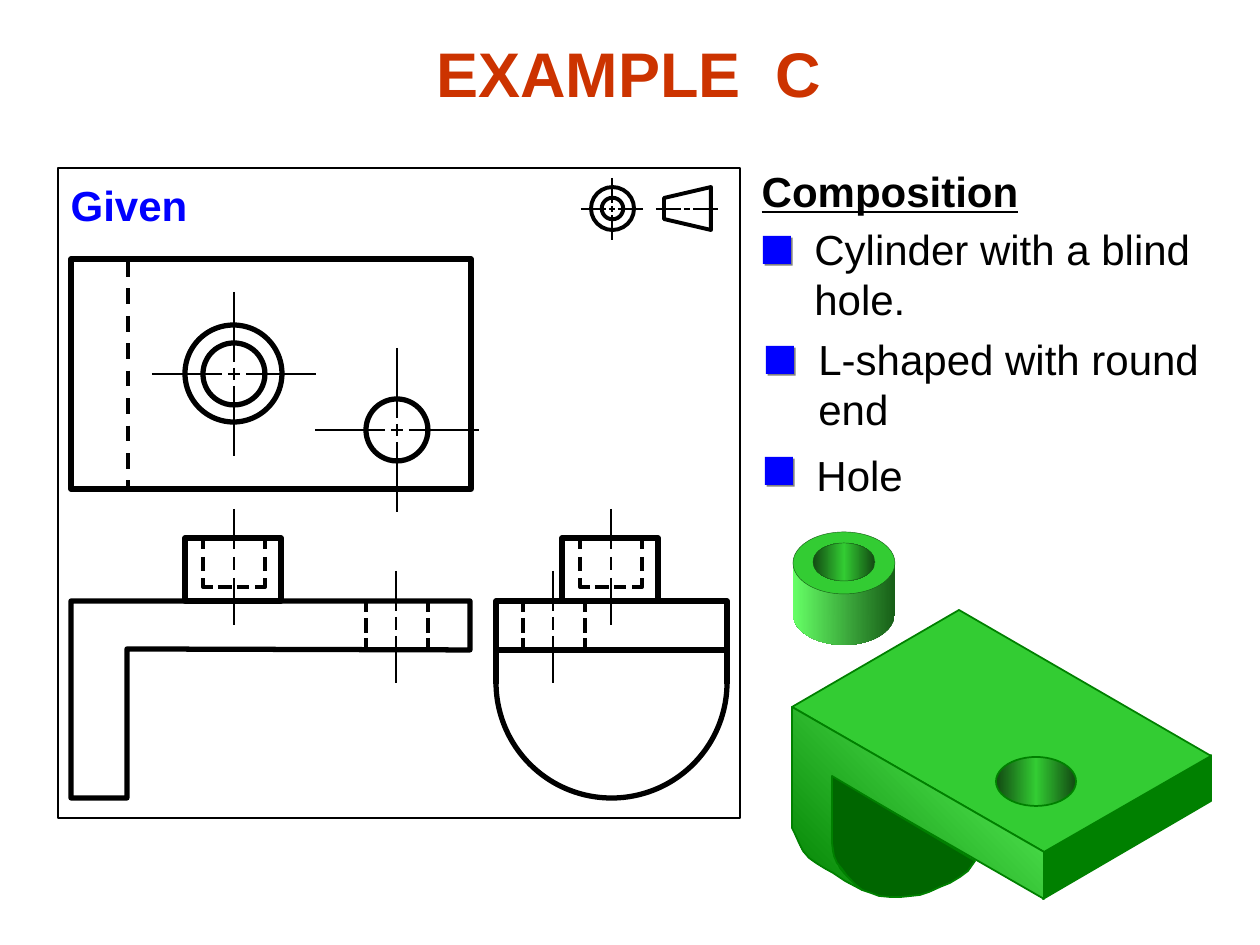
import pptx
import pptx.dml.color
import pptx.enum.dml
import pptx.enum.shapes
import pptx.enum.text
import pptx.oxml.ns
import pptx.util
from lxml import etree

EMU_PER_PX = 914400 / 126
BLACK = "000000"
GREEN, EDGE_GREEN, DEEP_GREEN = "33CC33", "008000", "175E17"
BORE = ["124912", GREEN, "124912"]
CYLINDER_SIDE = [DEEP_GREEN, "66FF66"]
SIDE_VIEW_SHIFT = 377
KIND = pptx.enum.shapes.MSO_SHAPE
qn = pptx.oxml.ns.qn


def px(length):
    return pptx.util.Emu(round(length * EMU_PER_PX))


def color(value):
    return pptx.dml.color.RGBColor.from_string(value)


def set_gradient(shape, stops, angle):
    """Spread the stops evenly, with the angle counted clockwise."""
    shape.fill.gradient()
    shape.fill.gradient_angle = (360 - angle) % 360
    stop_list = shape._element.spPr.find(".//" + qn("a:gsLst"))
    for old_stop in list(stop_list):
        stop_list.remove(old_stop)
    for i, value in enumerate(stops):
        position = str(100000 * i // (len(stops) - 1))
        stop = etree.SubElement(stop_list, qn("a:gs"), pos=position)
        etree.SubElement(stop, qn("a:srgbClr"), val=value)


def paint(shape, fill=None, line=BLACK, weight=3, angle=180):
    shape.shadow.inherit = False
    if fill is None:
        shape.fill.background()
    elif isinstance(fill, list):
        set_gradient(shape, fill, angle)
    else:
        shape.fill.solid()
        shape.fill.fore_color.rgb = color(fill)
    if line is None:
        shape.line.fill.background()
    else:
        shape.line.color.rgb = color(line)
        shape.line.width = pptx.util.Pt(weight)
    return shape


def add_preset(slide, kind, box, **style):
    return paint(slide.shapes.add_shape(kind, *map(px, box)), **style)


def add_outline(slide, points, close=True, **style):
    builder = slide.shapes.build_freeform(*points[0], scale=EMU_PER_PX)
    builder.add_line_segments(points[1:], close=close)
    return paint(builder.convert_to_shape(), **style)


def add_line(slide, x1, y1, x2, y2, weight):
    line = slide.shapes.add_connector(
        pptx.enum.shapes.MSO_CONNECTOR.STRAIGHT, px(x1), px(y1), px(x2), px(y2))
    line.line.color.rgb = color(BLACK)
    line.line.width = pptx.util.Pt(weight)
    etree.SubElement(line._element.spPr, qn("a:effectLst"))
    return line


def add_text(slide, text, box, size=24, ink=BLACK, bold=False,
             underline=False, centered=False):
    frame = slide.shapes.add_textbox(*map(px, box)).text_frame
    frame.text = text
    frame.word_wrap = False
    frame.auto_size = pptx.enum.text.MSO_AUTO_SIZE.SHAPE_TO_FIT_TEXT
    paragraph = frame.paragraphs[0]
    if centered:
        paragraph.alignment = pptx.enum.text.PP_ALIGN.CENTER
    for run in paragraph.runs:
        run.font.name = "Arial"
        run.font.size = pptx.util.Pt(size)
        run.font.color.rgb = color(ink)
        run.font.bold = bold
        run.font.underline = underline


def add_center_line(slide, x, y, dot, near, far, weight, vertical=False):
    for start, end in ((-far, -near), (-dot, dot), (near, far)):
        if vertical:
            add_line(slide, x, y + start, x, y + end, weight)
        else:
            add_line(slide, x + start, y, x + end, y, weight)


def add_center_mark(slide, x, y, *measures):
    add_center_line(slide, x, y, *measures)
    add_center_line(slide, x, y, *measures, vertical=True)


def add_axis(slide, x, top, gap):
    y = top
    for length in (40, 13, 47):
        add_line(slide, x, y, x, y + length, 1.5)
        y += length + gap


def add_boss(slide, left):
    """Cylinder elevation with its hidden blind hole."""
    add_preset(slide, KIND.RECTANGLE, (left, 538, 96, 63))
    hole_left, hole_right = left + 18, left + 80
    for x, inward in ((hole_left, 10), (hole_right, -10)):
        add_line(slide, x, 538, x, 549, 2.25)
        add_line(slide, x, 557, x, 571, 2.25)
        add_outline(slide, [(x, 578), (x, 587), (x + inward, 587)],
                    close=False, weight=2.25)
    for start, end in ((15, 29), (34, 46)):
        add_line(slide, hole_left + start, 587, hole_left + end, 587, 2.25)
    add_axis(slide, left + 49, 509, 8)


def add_through_hole(slide, left):
    for x in (left, left + 62):
        for top, bottom in ((601, 612), (618, 633), (638, 650)):
            add_line(slide, x, top, x, bottom, 2.25)
    add_axis(slide, left + 30, 571, 6)


def add_solid_views(slide):
    # L-shaped part with round end
    edge = dict(line=EDGE_GREEN, weight=1)
    add_outline(slide, [(1043, 852), (1043, 899), (1211, 801), (1211, 755)],
                fill=EDGE_GREEN, **edge)
    add_outline(slide, [(792, 707), (1044, 852), (1211, 756), (959, 610)],
                fill=GREEN, **edge)
    add_outline(slide, [
        (1044, 899), (1044, 852), (792, 707), (792, 816), (792, 828),
        (795, 834), (799, 843), (803, 851), (809, 858), (816, 863),
        (824, 868), (833, 873), (845, 881), (862, 890), (851, 880),
        (844, 873), (840, 868), (838, 863), (835, 857), (833, 851),
        (832, 838), (832, 777)],
        fill=["66FF66", EDGE_GREEN], angle=135, **edge)
    add_outline(slide, [
        (837, 863), (842, 869), (847, 876), (851, 880), (856, 885),
        (862, 890), (871, 893), (879, 896), (890, 897), (901, 897),
        (911, 896), (920, 895), (929, 892), (940, 887), (950, 883),
        (960, 877), (968, 871), (975, 861), (832, 776), (832, 843),
        (834, 856)], fill="006600", **edge)
    add_preset(slide, KIND.OVAL, (996, 757, 80, 49), fill=BORE, **edge)

    # Cylinder with a blind hole
    rim = dict(line=DEEP_GREEN, weight=0.25)
    add_preset(slide, KIND.OVAL, (793, 583, 102, 62),
               fill=CYLINDER_SIDE, line=None)
    add_preset(slide, KIND.RECTANGLE, (793, 561, 102, 54),
               fill=CYLINDER_SIDE, line=None)
    add_preset(slide, KIND.OVAL, (793, 532, 102, 62), fill=GREEN, **rim)
    add_preset(slide, KIND.OVAL, (813, 543, 62, 38), fill=BORE, **rim)


def add_top_view(slide):
    add_preset(slide, KIND.RECTANGLE, (71, 259, 400, 230))
    hidden_edge = add_line(slide, 128, 261, 128, 489, 2.25)
    hidden_edge.line.dash_style = pptx.enum.dml.MSO_LINE.DASH
    add_preset(slide, KIND.OVAL, (366, 399, 62, 62), fill="FFFFFF")
    add_preset(slide, KIND.OVAL, (185, 325, 97, 97))
    add_preset(slide, KIND.OVAL, (203, 343, 62, 62))
    for x, y in ((234, 374), (397, 430)):
        add_center_mark(slide, x, y, 6, 12, 82, 1.5)


def add_front_view(slide):
    add_outline(slide, [(470, 650), (470, 601), (71, 601), (71, 798),
                        (127, 798), (127, 649)])
    add_boss(slide, 185)
    add_through_hole(slide, 366)


def add_side_view(slide):
    add_preset(slide, KIND.RECTANGLE, (496, 601, 231, 49))
    round_end = add_preset(slide, KIND.ARC, (496, 567, 231, 231))
    round_end.adjustments[0] = 0
    round_end.adjustments[1] = 108  # 180 degrees
    for x in (496, 727):
        add_line(slide, x, 684, x, 650, 3)
    add_boss(slide, 185 + SIDE_VIEW_SHIFT)
    add_through_hole(slide, 523)


def add_projection_symbol(slide):
    ring = add_preset(slide, KIND.DONUT, (591, 187, 43, 43), weight=2.25)
    ring.adjustments[0] = 0.25
    add_outline(slide, [(711, 187), (711, 230), (664, 219), (664, 198)],
                weight=2.25)
    add_center_mark(slide, 612, 209, 3, 6, 31, 1)
    add_center_line(slide, 687, 209, 3, 6, 31, 1)


def add_component(slide, text, box, marker_left, marker_top):
    add_text(slide, text, box)
    marker = add_preset(slide, KIND.RECTANGLE,
                        (marker_left, marker_top, 28, 28),
                        fill="0000FF", line=None)
    effects = marker._element.spPr.find(qn("a:effectLst"))
    shadow = etree.SubElement(effects, qn("a:outerShdw"), dist="17961",
                              dir="2700000", algn="ctr", rotWithShape="0")
    etree.SubElement(shadow, qn("a:srgbClr"), val="808080")


def main():
    presentation = pptx.Presentation()
    presentation.slide_width, presentation.slide_height = px(1260), px(945)
    slide = presentation.slides.add_slide(presentation.slide_layouts[6])

    add_solid_views(slide)

    # Given drawing
    add_top_view(slide)
    add_front_view(slide)
    add_side_view(slide)
    add_text(slide, "Given", (56, 173, 146, 63), ink="0000FF", bold=True,
             centered=True)
    add_preset(slide, KIND.RECTANGLE, (58, 168, 682, 650), weight=0.75)
    add_projection_symbol(slide)

    # Composition list
    add_text(slide, "Composition", (747, 159, 286, 63), bold=True,
             underline=True, centered=True)
    add_component(slide, "Cylinder with a blind\vhole.",
                  (802, 217, 406, 113), 763, 236)
    add_component(slide, "L-shaped with round\vend",
                  (806, 327, 410, 113), 766, 346)
    add_component(slide, "Hole", (804, 443, 118, 63), 765, 457)

    add_text(slide, "EXAMPLE  C", (422, 28, 414, 88), size=36, ink="CC3300",
             bold=True, centered=True)
    presentation.save("out.pptx")


if __name__ == "__main__":
    main()
